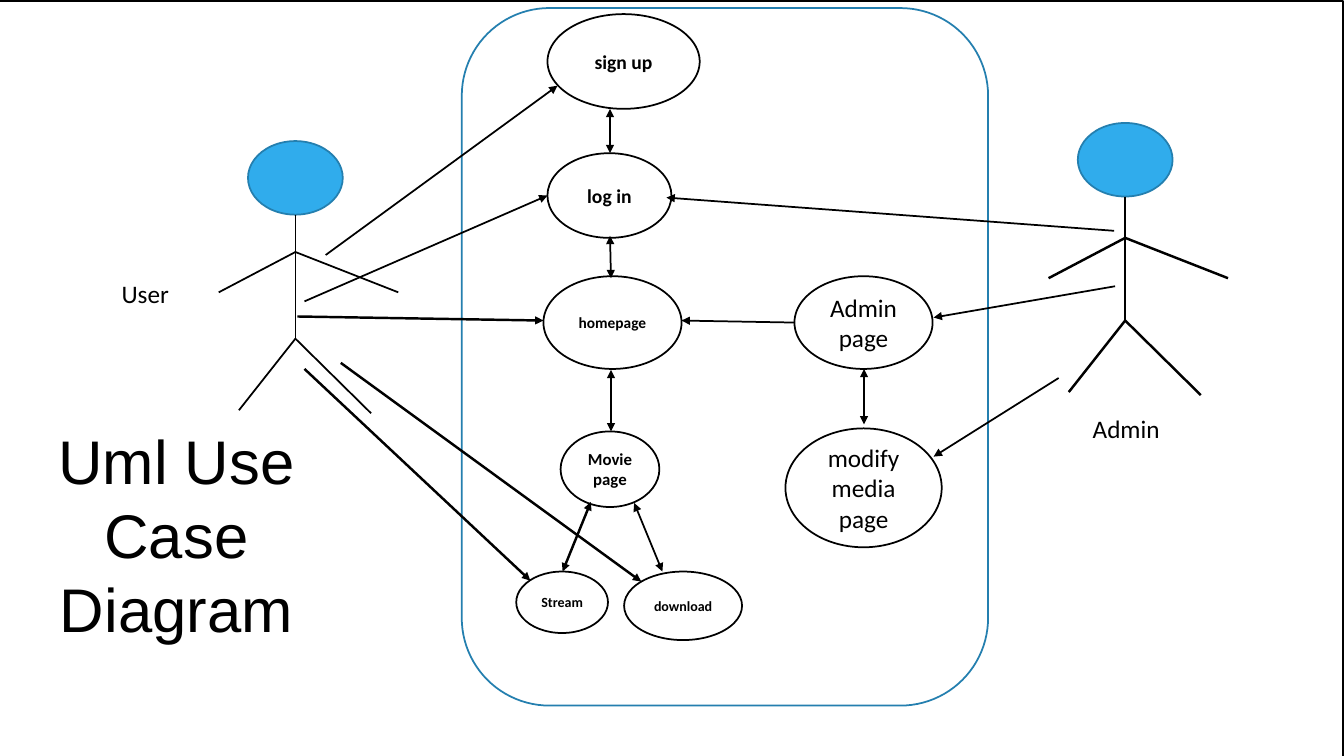
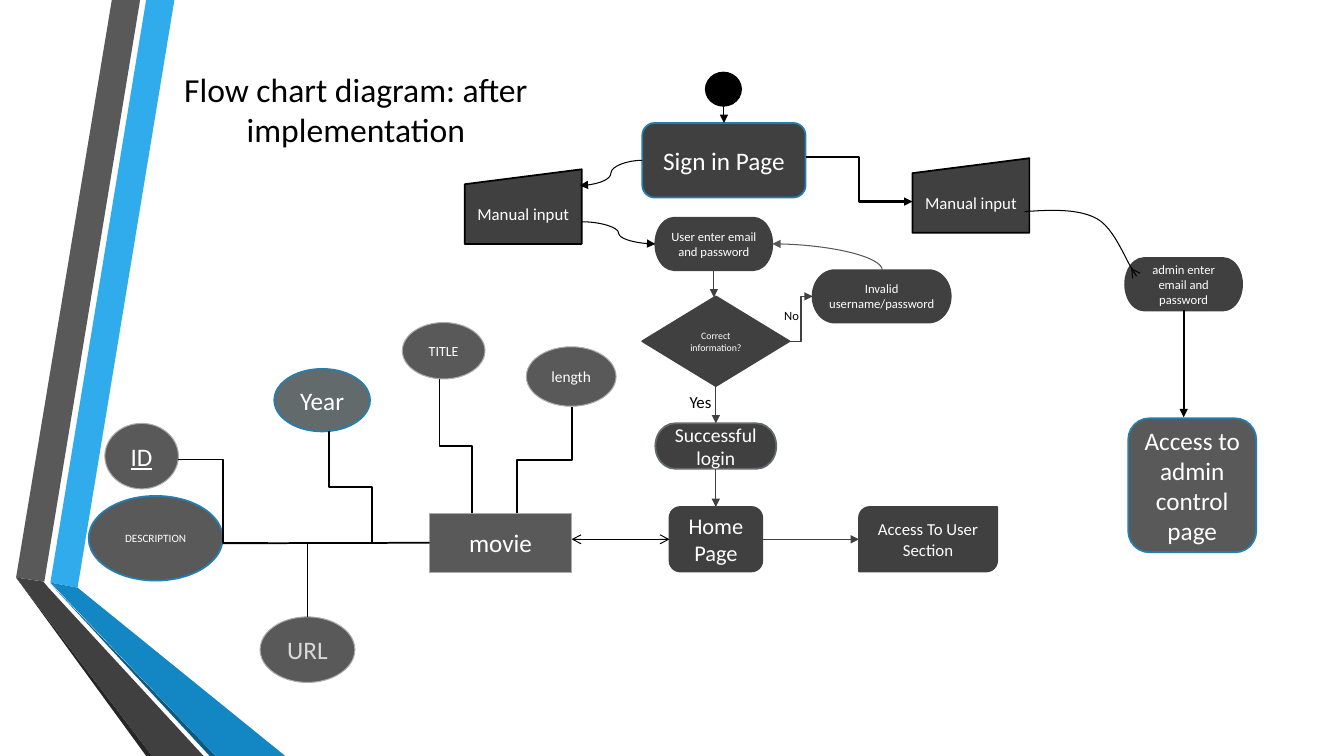
from lxml.etree import SubElement
from pptx import Presentation
from pptx.dml.color import RGBColor
from pptx.enum.shapes import MSO_CONNECTOR as Conn, MSO_SHAPE as Shape
from pptx.enum.text import MSO_ANCHOR as Anchor, PP_ALIGN as Align
from pptx.oxml.ns import qn
from pptx.util import Inches, Pt

COLORS = {
    "black": "000000", "white": "FFFFFF", "sky": "30ACEC", "blue": "1287C3",
    "edge": "247FAF", "navy": "0C5A82", "gray": "595959", "dark": "404040",
    "deep": "262626", "slate": "636A6C", "silver": "ABABAB", "pale": "D9D9D9",
}
OVAL, PILL, ROUND = Shape.OVAL, Shape.FLOWCHART_TERMINATOR, Shape.ROUNDED_RECTANGLE
INPUT = Shape.FLOWCHART_MANUAL_INPUT
KINDS = {"line": Conn.STRAIGHT, "bent": Conn.ELBOW, "curve": Conn.CURVE, "quarter": Conn.CURVE}

BANDS = [
    ("sky", [(0.5, 5.78), (0.77, 5.83), (1.73, 0), (1.45, 0)]),
    ("gray", [(1.39, 0), (1.11, 0), (0.16, 5.73), (0.44, 5.77)]),
    ("deep", [(0.16, 5.73), (1.45, 7.5), (1.51, 7.5)]),
    ("navy", [(0.5, 5.79), (2.08, 7.5), (2.14, 7.5)]),
    ("blue", [(0.5, 5.78), (2.14, 7.5), (2.83, 7.5), (0.77, 5.83)]),
    ("dark", [(0.16, 5.73), (1.51, 7.5), (2.02, 7.5), (0.48, 5.83), (0.43, 5.77)]),
]

USE_CASES = [
    ("sign up", (5.43, 0.14, 1.51, 0.94), 14, True),
    ("log in", (5.43, 1.52, 1.23, 0.84), 14, True),
    ("homepage", (5.39, 2.74, 1.37, 0.92), 11, True),
    ("Movie page", (5.56, 4.28, 0.98, 0.75), 12, True),
    ("Stream", (5.12, 5.67, 0.91, 0.61), 10, True),
    ("download", (6.19, 5.67, 1.17, 0.68), 10, True),
    ("Admin page", (7.88, 2.74, 1.37, 0.92), 18, False),
    ("modify media page", (7.79, 4.25, 1.55, 1.18), 18, False),
]
ACTORS = [
    {"center": 2.93, "top": 1.4, "arms": 2.5, "weight": 1.25},
    {"center": 11.16, "top": 1.22, "arms": 2.36, "weight": 1.75},
]
USE_CASE_LABELS = [
    ("Admin", (10.44, 3.9, 1.46, 0.71), 18, "Calibri"),
    ("User", (0.77, 2.56, 1.34, 0.71), 18, "Calibri"),
    ("Uml Use Case Diagram", (0.26, 4.21, 2.98, 2.17), 44, "Arial"),
]
ONE_WAY = [
    ((3.23, 2.53), (5.53, 0.85), 1.25),
    ((3.02, 2.99), (5.43, 1.94), 1.25),
    ((11.05, 2.29), (6.61, 1.96), 1.25),
    ((7.88, 3.2), (6.76, 3.18), 1.25),
    ((11.06, 2.84), (9.26, 3.15), 1.25),
    ((10.5, 3.75), (9.26, 4.53), 1.25),
    ((2.95, 3.14), (5.39, 3.18), 1.75),
    ((3.02, 3.66), (5.26, 5.76), 1.75),
    ((3.38, 3.6), (6.36, 5.77), 1.75),
]
TWO_WAY = [
    ((6.05, 1.52), (6.05, 1.08), 1.25),
    ((6.06, 2.76), (6.05, 2.34), 1.25),
    ((6.06, 4.28), (6.06, 3.67), 1.75),
    ((5.86, 4.98), (5.58, 5.67), 1.75),
    ((6.29, 4.99), (6.57, 5.67), 1.25),
    ((8.57, 4.21), (8.57, 3.66), 1.75),
]

FLOW_NODES = {
    "start": (OVAL, (7, 0.72, 0.35, 0.33), "black", "black", "", 12),
    "sign in": (ROUND, (6.37, 1.22, 1.62, 0.74), "dark", "edge", "Sign in Page", 18),
    "user input": (INPUT, (4.61, 1.68, 1.16, 0.74), "dark", "black", "Manual input", 12),
    "admin input": (INPUT, (9.05, 1.57, 1.16, 0.74), "dark", "black", "Manual input", 12),
    "user entry": (PILL, (6.5, 2.16, 1.16, 0.52), "dark", "dark", "User enter email and password", 9),
    "admin entry": (PILL, (11.16, 2.56, 1.16, 0.52), "dark", "dark", "admin enter email and password", 9),
    "invalid": (PILL, (8.06, 2.68, 1.37, 0.52), "dark", "dark", "Invalid\vusername/password", 9),
    "check": (Shape.DIAMOND, (6.37, 2.94, 1.46, 0.89), "dark", "dark", "Correct\vinformation?", 7),
    "success": (PILL, (6.5, 4.2, 1.2, 0.45), "dark", "slate", "Successful login", 14),
    "home": (ROUND, (6.64, 5.03, 0.92, 0.64), "dark", "dark", "Home Page", 16),
    "user section": (Shape.ROUND_2_DIAG_RECTANGLE, (8.52, 5.03, 1.37, 0.64), "dark", "dark",
                     "Access To User Section", 12),
    "admin control": (ROUND, (11.19, 4.15, 1.27, 1.33), "gray", "edge",
                      "Access to admin control page", 18),
    "movie": (Shape.RECTANGLE, (4.26, 5.09, 1.41, 0.59), "gray", "silver", "movie", 18),
    "length": (OVAL, (5.22, 3.44, 0.89, 0.59), "gray", "silver", "length", 11),
    "title": (OVAL, (3.99, 3.2, 0.82, 0.56), "gray", "silver", "TITLE", 10),
    "year": (OVAL, (2.72, 3.66, 0.95, 0.62), "slate", "edge", "Year", 18),
    "id": (OVAL, (1.04, 4.2, 0.73, 0.65), "gray", "silver", "ID", 18),
    "description": (OVAL, (0.88, 4.92, 1.33, 0.84), "gray", "edge", "DESCRIPTION", 8),
    "url": (OVAL, (2.58, 6.12, 0.94, 0.65), "gray", "silver", "URL", 18),
}
TOP, LEFT, BOTTOM, RIGHT = range(4)
FLOW_LINKS = [
    ("line", (7.18, 1.05), ("sign in", TOP), "black", 0.75, None, "triangle"),
    ("line", ("user entry", BOTTOM), (7.08, 2.95), "dark", 0.75, None, "triangle"),
    ("line", ("check", BOTTOM), ("success", TOP), "dark", 0.75, None, "triangle"),
    ("line", ("success", BOTTOM), ("home", TOP), "dark", 0.75, None, "triangle"),
    ("line", ("home", RIGHT), (8.52, 5.35), "dark", 0.75, None, "triangle"),
    ("line", ("home", LEFT), (5.67, 5.35), "black", 0.75, "arrow", "arrow"),
    ("line", ("admin entry", BOTTOM), (11.74, 4.14), "black", 1.25, None, "triangle"),
    ("line", (2.21, 5.39), ("movie", LEFT), "black", 1.25, None, None),
    ("line", (3.05, 5.38), (3.05, 6.12), "black", 1.25, None, None),
    ("curve", (6.37, 1.59), (5.75, 1.84), "black", 0.75, None, "triangle"),
    ("curve", (5.77, 2.2), (6.5, 2.42), "black", 0.75, None, "triangle"),
    ("bent", (7.83, 3.39), (8.06, 2.94), "dark", 0.75, None, "triangle"),
    ("bent", (7.99, 1.56), (9.05, 2), "black", 1.75, None, "triangle"),
    ("bent", (2.66, 5.39), (1.77, 4.56), "black", 1.25, None, None),
]
UPRIGHT_LINKS = [
    ("quarter", (8.75, 2.68), (7.66, 2.42), "gray", 0.75, None, "triangle"),
    ("bent", (5.13, 5.09), (5.67, 4.04), "black", 1.25, None, None),
    ("bent", (4.68, 5.09), (4.36, 3.76), "black", 1.25, None, None),
    ("bent", (3.69, 5.39), (3.26, 4.28), "black", 1.25, None, None),
]
ADMIN_CURVE = [
    [(10.16, 2.1), (10.43, 2.08), (10.7, 2.07), (10.88, 2.17)],
    [(10.88, 2.17), (11.05, 2.26), (11.17, 2.59), (11.23, 2.67)],
    [(11.23, 2.67), (11.28, 2.76), (11.25, 2.71), (11.22, 2.66)],
]


def rgb(name):
    return RGBColor.from_string(COLORS[name])


def inches(values):
    return [Inches(v) for v in values]


def paint(sp, fill, edge=None, weight=1.25):
    sp.shadow.inherit = False
    if fill:
        sp.fill.solid()
        sp.fill.fore_color.rgb = rgb(fill)
    else:
        sp.fill.background()
    if edge:
        sp.line.color.rgb = rgb(edge)
        sp.line.width = Pt(weight)
    else:
        sp.line.fill.background()


def write(sp, text, size, color="black", font="Calibri", bold=False, underline=False,
          align=Align.CENTER, anchor=Anchor.MIDDLE, wrap=True):
    tf = sp.text_frame
    tf.word_wrap = wrap
    tf.vertical_anchor = anchor
    p = tf.paragraphs[0]
    p.alignment = align
    for i, part in enumerate(text.split("\v")):
        if i:
            p.add_line_break()
        r = p.add_run()
        r.text = part
        r.font.name, r.font.size = font, Pt(size)
        r.font.bold, r.font.underline = bold, underline
        r.font.color.rgb = rgb(color)


def add_node(slide, kind, box, fill, edge, weight=1.25):
    sp = slide.shapes.add_shape(kind, *inches(box))
    paint(sp, fill, edge, weight)
    return sp


def add_label(slide, text, box, size, **style):
    write(slide.shapes.add_textbox(*inches(box)), text, size, **style)


def add_outline(slide, points, closed=True):
    corners = [inches(point) for point in points]
    builder = slide.shapes.build_freeform(*corners[0])
    builder.add_line_segments(corners[1:], close=closed)
    return builder.convert_to_shape()


def add_tips(line, head, tail):
    ln = line._get_or_add_ln()
    for tag, tip in (("a:headEnd", head), ("a:tailEnd", tail)):
        if tip:
            SubElement(ln, qn(tag), type=tip)


def add_link(slide, kind, start, end, color="black", weight=1.25, head=None, tail=None,
             nodes=None, upright=False):
    joins = [isinstance(point[0], str) for point in (start, end)]
    (x1, y1), (x2, y2) = [(0, 0) if joined else point for joined, point in zip(joins, (start, end))]
    turn = 90 if y2 > y1 else 270
    if upright:
        cx, cy = (x1 + x2) / 2, (y1 + y2) / 2
        half_w = abs(y2 - y1) / 2
        half_h = (x1 - x2) / 2 if turn == 90 else (x2 - x1) / 2
        x1, y1, x2, y2 = cx - half_w, cy - half_h, cx + half_w, cy + half_h
    c = slide.shapes.add_connector(KINDS[kind], *inches((x1, y1, x2, y2)))
    sp_pr = c._element.spPr
    if upright:
        sp_pr.find(qn("a:xfrm")).set("rot", str(turn * 60000))
    if kind == "quarter":
        sp_pr.find(qn("a:prstGeom")).set("prst", "curvedConnector2")
    if joins[0]:
        c.begin_connect(nodes[start[0]], start[1])
    if joins[1]:
        c.end_connect(nodes[end[0]], end[1])
    c.line.color.rgb = rgb(color)
    c.line.width = Pt(weight)
    add_tips(c.line, head, tail)
    SubElement(sp_pr, qn("a:effectLst"))


def add_actor(slide, center, top, arms, weight):
    neck, hip = top + 0.73, top + 1.96
    add_node(slide, OVAL, (center - 0.47, top, 0.94, 0.73), "sky", "edge")
    add_link(slide, "line", (center, neck), (center, hip))
    for joint, dx, dy in ((arms, 1.02, 0.4), (arms, -0.76, 0.4), (hip, 0.75, 0.74), (hip, -0.56, 0.71)):
        add_link(slide, "line", (center, joint), (center + dx, joint + dy), weight=weight)


def bezier(a, b, c, d, steps=12):
    for i in range(1, steps + 1):
        t = i / steps
        u = 1 - t
        yield tuple(u**3 * a[k] + 3 * u * u * t * b[k] + 3 * u * t * t * c[k] + t**3 * d[k]
                    for k in (0, 1))


def build_use_cases(slide):
    add_node(slide, Shape.RECTANGLE, (-0.09, 0.01, 13.41, 7.68), "white", "black")
    add_node(slide, ROUND, (4.58, 0.08, 5.22, 6.92), "white", "edge")
    for actor in ACTORS:
        add_actor(slide, **actor)
    for text, box, size, bold in USE_CASES:
        write(add_node(slide, OVAL, box, "white", "black"), text, size, bold=bold)
    for links, head in ((ONE_WAY, None), (TWO_WAY, "triangle")):
        for start, end, weight in links:
            add_link(slide, "line", start, end, "black", weight, head, "triangle")
    for text, box, size, font in USE_CASE_LABELS:
        add_label(slide, text, box, size, font=font)


def build_flow_chart(slide):
    for color, points in BANDS:
        paint(add_outline(slide, points), color)
    add_label(slide, "Flow chart diagram: after\vimplementation", (1.53, 0.12, 4, 1.92), 24)
    nodes = {}
    for name, (kind, box, fill, edge, text, size) in FLOW_NODES.items():
        sp = nodes[name] = add_node(slide, kind, box, fill, edge, 0.75 if edge == "silver" else 1.25)
        if text:
            write(sp, text, size, "pale" if name == "url" else "white", underline=name == "id")
    for links, upright in ((FLOW_LINKS, False), (UPRIGHT_LINKS, True)):
        for link in links:
            add_link(slide, *link, nodes=nodes, upright=upright)
    points = [ADMIN_CURVE[0][0]] + [point for part in ADMIN_CURVE for point in bezier(*part)]
    curve = add_outline(slide, points, closed=False)
    paint(curve, None, "black", 0.75)
    add_tips(curve.line, None, "arrow")
    add_label(slide, "No", (7.68, 3.01, 0.5, 0.25), 9, align=Align.LEFT, anchor=Anchor.TOP)
    add_label(slide, "Yes", (6.74, 3.84, 0.42, 0.3), 12, align=Align.LEFT, anchor=Anchor.TOP, wrap=False)


def main():
    prs = Presentation()
    prs.slide_width, prs.slide_height = Inches(13.33), Inches(7.5)
    for build in (build_use_cases, build_flow_chart):
        build(prs.slides.add_slide(prs.slide_layouts[6]))
    prs.save("out.pptx")


if __name__ == "__main__":
    main()
